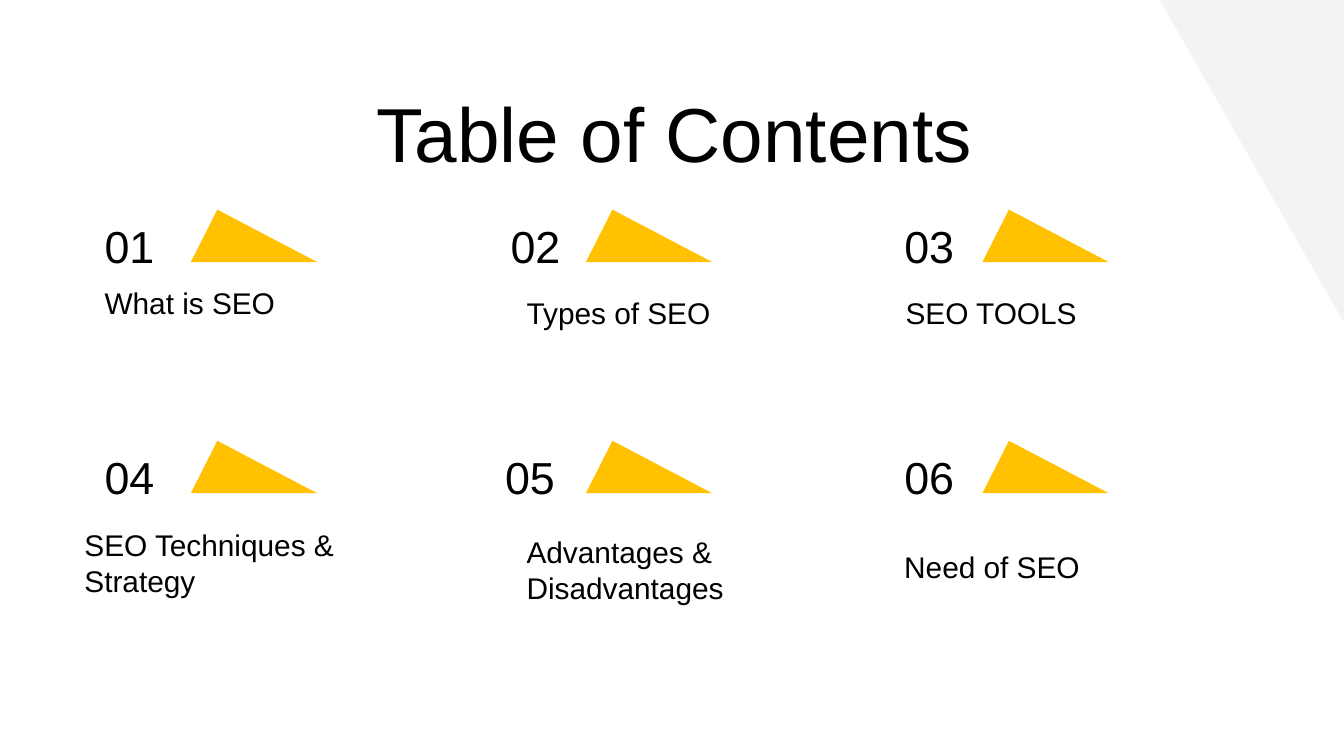
import pptx
import pptx.util
import pptx.dml.color
from pptx.enum.shapes import MSO_SHAPE
from pptx.enum.text import MSO_ANCHOR, PP_ALIGN
from pptx.util import Inches

# Triangle grid
COLUMN_LEFTS = (1.42, 4.36, 7.31)
ROW_TOPS = (1.56, 3.28)
NUMBER_LEFTS = (0.68, 3.7, 6.63, 0.68, 3.66, 6.63)

# Topic text and its box: left, top, width, height
TOPICS = [
    ("What is SEO", (0.68, 2.02, 2.36, 0.39)),
    ("Types of SEO", (3.82, 2.09, 2.36, 0.39)),
    ("SEO TOOLS", (6.64, 2.09, 2.34, 0.39)),
    ("SEO Techniques & Strategy", (0.53, 3.82, 2.55, 0.72)),
    ("Advantages & Disadvantages", (3.82, 3.87, 2.36, 0.78)),
    ("Need of SEO", (6.63, 3.98, 2.36, 0.39)),
]


def color(hex_string):
    return pptx.dml.color.RGBColor.from_string(hex_string)


def add_filled_shape(slide, kind, box, fill):
    shape = slide.shapes.add_shape(kind, *map(Inches, box))
    shape.shadow.inherit = False
    shape.fill.solid()
    shape.fill.fore_color.rgb = color(fill)
    shape.line.fill.background()
    return shape


def add_text(slide, text, box, size, align=PP_ALIGN.LEFT, anchor=MSO_ANCHOR.TOP):
    frame = slide.shapes.add_textbox(*map(Inches, box)).text_frame
    frame.word_wrap = True
    frame.vertical_anchor = anchor
    frame.margin_left = frame.margin_right = Inches(0.1)
    frame.margin_top = frame.margin_bottom = Inches(0.1)
    paragraph = frame.paragraphs[0]
    paragraph.text = text
    paragraph.alignment = align
    paragraph.font.name = "Arial"
    paragraph.font.size = pptx.util.Pt(size)
    paragraph.font.color.rgb = color("000000")


def add_entry(slide, index, topic, topic_box):
    row, column = divmod(index, len(COLUMN_LEFTS))
    top = ROW_TOPS[row]
    triangle = add_filled_shape(slide, MSO_SHAPE.ISOSCELES_TRIANGLE,
                                (COLUMN_LEFTS[column], top, 0.94, 0.39), "FFC100")
    triangle.adjustments[0] = 0.21
    add_text(slide, f"{index + 1:02d}", (NUMBER_LEFTS[index], top + 0.07, 1.18, 0.39),
             24, anchor=MSO_ANCHOR.MIDDLE)
    add_text(slide, topic, topic_box, 16)


def main():
    # Widescreen slide, 16:9
    presentation = pptx.Presentation()
    presentation.slide_width = Inches(10)
    presentation.slide_height = Inches(10 * 9 / 16)
    slide = presentation.slides.add_slide(presentation.slide_layouts[6])

    # Corner decoration
    corner = add_filled_shape(slide, MSO_SHAPE.RIGHT_TRIANGLE,
                              (8.63, 0, 1.37, 2.4), "F3F3F3")
    corner.rotation = 180

    # Title
    add_text(slide, "Table of Contents", (0.59, 0.54, 8.86, 0.63), 41,
             align=PP_ALIGN.CENTER)

    # Numbered entries
    for index, (topic, topic_box) in enumerate(TOPICS):
        add_entry(slide, index, topic, topic_box)

    presentation.save("out.pptx")


if __name__ == "__main__":
    main()
